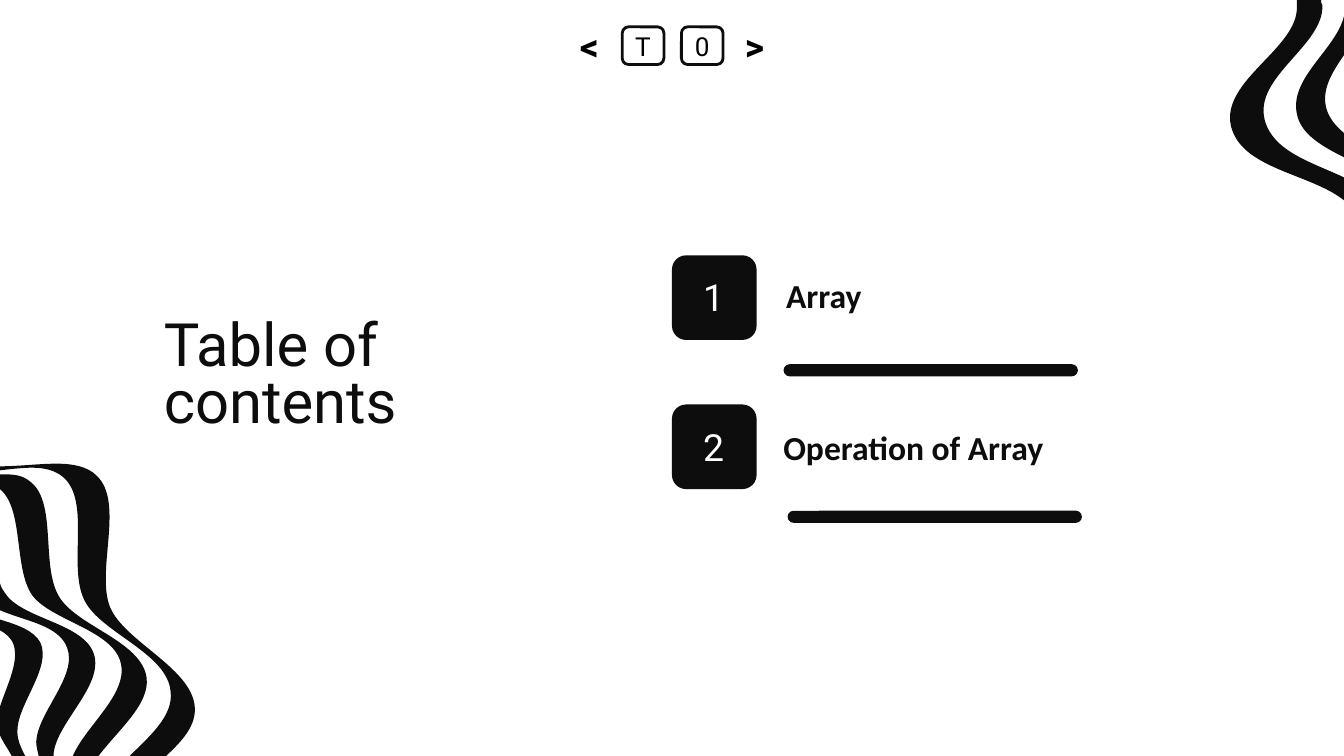
from pptx import Presentation
from pptx.dml.color import RGBColor
from pptx.enum.shapes import MSO_SHAPE
from pptx.enum.text import MSO_ANCHOR, PP_ALIGN
from pptx.oxml.ns import qn
from pptx.oxml.xmlchemy import OxmlElement
from pptx.util import Inches, Pt

INK, PAPER, BLACK = "0D0D0D", "FFFFFF", "000000"

# Each stripe is a start point, then lines (x, y) and Bezier curves (x1, y1, x2, y2, x, y)
LOWER_LEFT_STRIPES = [
    [(0.96, 5.63), (1.11, 5.48, 1.29, 5.33, 1.27, 5.15), (1.25, 4.86, 0.75, 4.71, 0.63, 4.47),
     (0.5, 4.22, 0.68, 3.73, 0.47, 3.55), (0.41, 3.5, 0.33, 3.48, 0.24, 3.48),
     (0.17, 3.48, 0.08, 3.49, 0, 3.5), (0, 3.47), (0.14, 3.47, 0.29, 3.45, 0.42, 3.45),
     (0.54, 3.45, 0.65, 3.47, 0.72, 3.54), (0.93, 3.74, 0.71, 4.25, 0.82, 4.52),
     (0.93, 4.78, 1.45, 4.98, 1.45, 5.28), (1.45, 5.41, 1.35, 5.52, 1.23, 5.63)],
    [(0.54, 5.63), (0.63, 5.41, 0.95, 5.17, 0.9, 4.94), (0.85, 4.69, 0.38, 4.62, 0.24, 4.43),
     (0.1, 4.23, 0.18, 3.79, 0, 3.64), (0, 3.53), (0.01, 3.53, 0.03, 3.53, 0.04, 3.53),
     (0.11, 3.53, 0.17, 3.54, 0.22, 3.58), (0.43, 3.73, 0.3, 4.21, 0.44, 4.44),
     (0.57, 4.66, 1.05, 4.77, 1.09, 5.04), (1.12, 5.24, 0.87, 5.44, 0.73, 5.63)],
    [(0.29, 5.63), (0.28, 5.59, 0.27, 5.55, 0.27, 5.52), (0.28, 5.3, 0.58, 5.03, 0.5, 4.82),
     (0.44, 4.65, 0.18, 4.62, 0, 4.54), (0, 4.34), (0.01, 4.38, 0.03, 4.4, 0.05, 4.43),
     (0.19, 4.61, 0.63, 4.64, 0.7, 4.87), (0.77, 5.1, 0.43, 5.37, 0.4, 5.6),
     (0.4, 5.61, 0.4, 5.62, 0.4, 5.63)],
    [(0.09, 5.63), (0.06, 5.57, 0.02, 5.52, 0, 5.47), (0, 5.26),
     (0.05, 5.1, 0.16, 4.9, 0.09, 4.77), (0.07, 4.74, 0.04, 4.71, 0, 4.69), (0, 4.61),
     (0.13, 4.65, 0.25, 4.69, 0.3, 4.78), (0.39, 4.97, 0.12, 5.25, 0.13, 5.45),
     (0.13, 5.51, 0.16, 5.57, 0.19, 5.63)],
]
UPPER_RIGHT_STRIPES = [
    [(10, 0.12), (9.94, 0.37, 9.59, 0.58, 9.65, 0.85), (9.68, 1, 9.84, 1.09, 10, 1.17),
     (10, 0.99), (9.94, 0.94, 9.89, 0.88, 9.87, 0.81), (9.83, 0.67, 9.91, 0.54, 10, 0.41)],
    [(9.65, 0), (9.65, 0.02, 9.65, 0.03, 9.65, 0.05), (9.66, 0.36, 9.08, 0.6, 9.16, 0.94),
     (9.24, 1.26, 9.75, 1.29, 10, 1.49), (10, 1.32), (9.77, 1.21, 9.47, 1.13, 9.41, 0.89),
     (9.33, 0.57, 9.85, 0.34, 9.84, 0.04), (9.83, 0.03, 9.83, 0.01, 9.83, 0)],
]


def color(hex_code):
    return RGBColor.from_string(hex_code)


def write(shape, text, size=18, font="Roboto", ink=INK, bold=False,
          align=PP_ALIGN.LEFT, inset=0.1, spacing=1.0):
    frame = shape.text_frame
    frame.word_wrap = True
    frame.vertical_anchor = MSO_ANCHOR.MIDDLE
    frame.margin_left = frame.margin_right = Inches(inset)
    frame.margin_top = frame.margin_bottom = Inches(inset)
    paragraph = frame.paragraphs[0]
    paragraph.alignment = align
    paragraph.line_spacing = spacing
    run = paragraph.add_run()
    run.text = text
    run.font.size, run.font.name, run.font.bold = Pt(size), font, bold
    run.font.color.rgb = color(ink)


def bend(shape, segments):
    """Turn the straight sides of a freeform into its Bezier curves."""
    sides = list(shape.element.iter(qn("a:lnTo")))
    for side, segment in zip(sides, segments):
        if len(segment) == 2:
            continue
        curve = OxmlElement("a:cubicBezTo")
        for x, y in zip(segment[::2], segment[1::2]):
            node = OxmlElement("a:pt")
            node.set("x", str(Inches(x) - shape.left))
            node.set("y", str(Inches(y) - shape.top))
            curve.append(node)
        side.getparent().replace(side, curve)


class SlideBuilder:
    def __init__(self, slide):
        self.slide = slide

    def paint(self, shape, fill, line=None):
        shape.shadow.inherit = False
        shape.fill.solid()
        shape.fill.fore_color.rgb = color(fill)
        if line:
            shape.line.color.rgb = color(line)
            shape.line.width = Pt(1.5)
        else:
            shape.line.fill.background()
        return shape

    def wave(self, stripes):
        group = self.slide.shapes.add_group_shape()
        for start, *segments in stripes:
            corners = [(Inches(segment[-2]), Inches(segment[-1])) for segment in segments]
            builder = group.shapes.build_freeform(Inches(start[0]), Inches(start[1]))
            builder.add_line_segments(corners, close=True)
            shape = self.paint(builder.convert_to_shape(), INK)
            bend(shape, segments)

    def rounded(self, left, top, width, height, fill=INK, line=None, corner=0.167):
        shape = self.slide.shapes.add_shape(
            MSO_SHAPE.ROUNDED_RECTANGLE,
            Inches(left), Inches(top), Inches(width), Inches(height))
        shape.adjustments[0] = corner
        return self.paint(shape, fill, line)

    def text(self, left, top, width, height, text, **style):
        box = self.slide.shapes.add_textbox(
            Inches(left), Inches(top), Inches(width), Inches(height))
        write(box, text, **style)

    def underline(self, left, top):
        self.rounded(left, top, 0.09, 2.19, corner=0.5).rotation = 270

    def key(self, left, text, size, line=None, bold=False):
        cap = self.rounded(left, 0.2, 0.31, 0.28, PAPER, line)
        write(cap, text, size=size, ink=BLACK, bold=bold, align=PP_ALIGN.CENTER, inset=0)


def main():
    deck = Presentation()
    deck.slide_width, deck.slide_height = Inches(10), Inches(5.625)
    page = SlideBuilder(deck.slides.add_slide(deck.slide_layouts[6]))

    # Corner waves
    page.wave(LOWER_LEFT_STRIPES)
    page.wave(UPPER_RIGHT_STRIPES)

    # Heading
    page.text(1.12, 2.3, 2.89, 1.02, "Table of contents", size=32, spacing=0.8)

    # Entries: number tile, topic (with its box) and underline
    entries = [
        ("Array", (5.75, 1.84, 3.29, 0.71), (6.88, 1.66)),
        ("Operation of Array", (5.73, 3.11, 2.86, 0.43), (6.91, 2.75)),
    ]
    for index, (topic, topic_box, underline) in enumerate(entries):
        tile_top = 1.9 + 1.11 * index
        page.rounded(5, tile_top, 0.63, 0.63)
        page.text(5.09, tile_top + 0.09, 0.44, 0.44, str(index + 1),
                  size=20, ink=PAPER, align=PP_ALIGN.CENTER)
        page.text(*topic_box, topic, font="Calibri", bold=True)
        page.underline(*underline)

    # Navigation keys
    page.key(5.07, "0", 14, line=INK)
    page.key(4.63, "T", 14, line=INK)
    page.key(4.23, "<", 20, bold=True)
    page.key(5.46, ">", 20, bold=True)

    deck.save("out.pptx")


if __name__ == "__main__":
    main()
